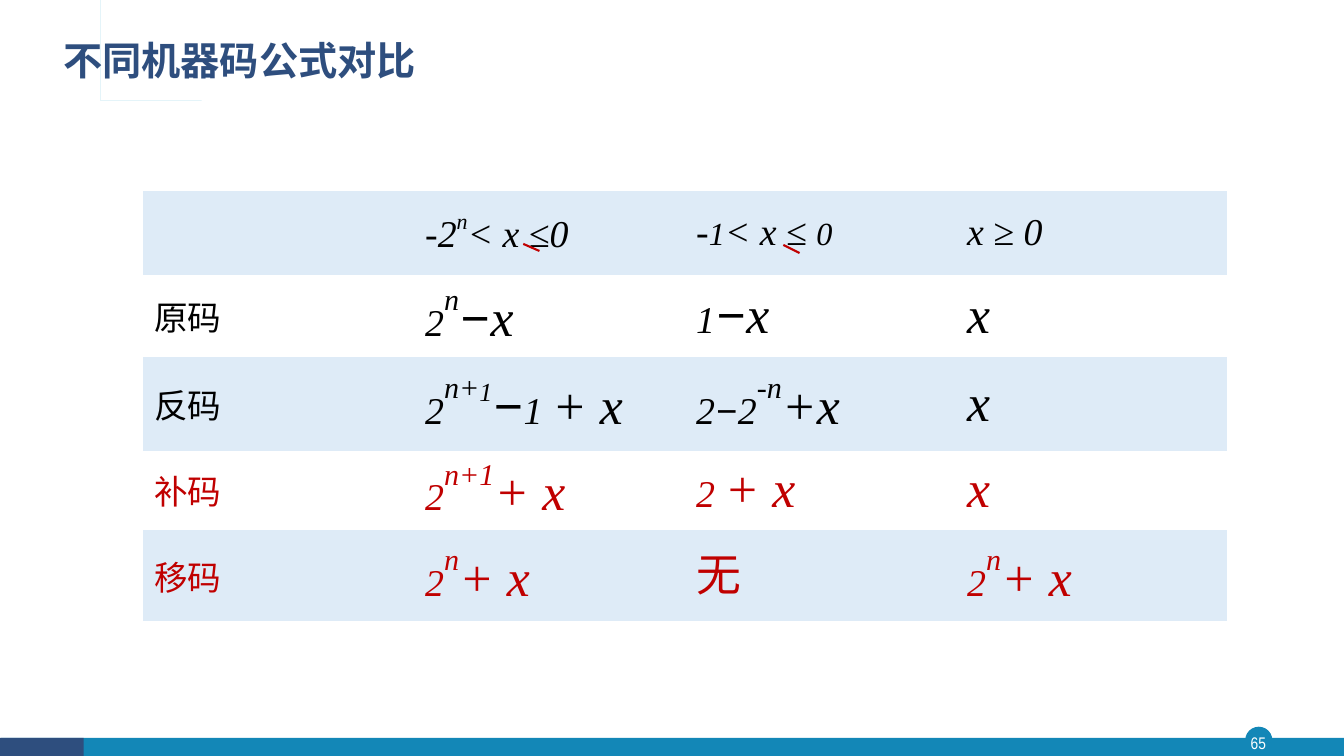
"""Build the slide that compares the formulas of the machine codes."""
from typing import NamedTuple

from lxml.etree import SubElement
from pptx import Presentation
from pptx.dml.color import RGBColor
from pptx.enum.shapes import MSO_CONNECTOR, MSO_SHAPE
from pptx.enum.text import MSO_ANCHOR, PP_ALIGN
from pptx.oxml.ns import qn
from pptx.util import Inches, Pt

COLORS = {"teal": "1387B7", "navy": "2E4E7E", "sky": "28A9D6", "pale": "DEEBF7",
          "white": "FFFFFF", "black": "000000", "red": "C00000"}
HAN, SERIF = "Noto Sans CJK SC", "Times New Roman"
PLAIN_STYLE = "{2D5ABB26-0587-4C30-8999-92F81FD0307C}"


class Bit(NamedTuple):
    text: str
    size: float = 27
    up: bool = False
    bold: bool = False
    font: str = SERIF


class Bar(NamedTuple):
    kind: MSO_SHAPE
    left: float
    top: float
    width: float
    height: float
    color: str


class Slash(NamedTuple):
    left: float
    top: float
    right: float
    bottom: float


class Row(NamedTuple):
    height: float
    color: str
    cells: list[list[Bit]]


def label(text: str) -> list[Bit]:
    return [Bit(text, 24, font=HAN)]


def power(text: str) -> list[Bit]:
    return [Bit("2"), Bit(text, 37, up=True)]


MINUS = Bit("−", 37, bold=True)
X = Bit("x", 37)
PLUS = Bit("+ x", 37)

BARS = [
    Bar(MSO_SHAPE.OVAL, 12.35, 7.21, 0.27, 0.27, "teal"),
    Bar(MSO_SHAPE.RECTANGLE, 0.01, 7.32, 13.32, 0.19, "teal"),
    Bar(MSO_SHAPE.RECTANGLE, 0, 7.32, 0.83, 0.19, "navy"),
]
MARK = [(0.54, 0.39), (0.54, 0.85), (1.87, 0.85), (1.87, 0.87), (0.52, 0.87),
        (0.52, 0.41), (0.47, 0.41), (0.47, 0.87), (0.36, 0.87), (0.36, 0.39),
        (0.39, 0.39), (0.39, 0.84), (0.44, 0.84), (0.44, 0.39)]
ROWS = [
    Row(0.84, "black", [
        [],
        [Bit("-2"), Bit("n", up=True), Bit("< x ≤0")],
        [Bit("-"), Bit("1", 23), Bit("< x ≤ "), Bit("0", 23)],
        [Bit("x ≥ 0")]]),
    Row(0.81, "black", [
        label("原码"), power("n") + [MINUS, X], [Bit("1"), MINUS, X], [X]]),
    Row(0.93, "black", [
        label("反码"),
        power("n+") + [Bit("1", 32, up=True), MINUS, Bit("1 "), PLUS],
        [Bit("2"), Bit("−", bold=True)] + power("-n") + [Bit("+x", 37)],
        [X]]),
    Row(0.79, "red", [
        label("补码"), power("n+1") + [PLUS], [Bit("2 "), PLUS], [X]]),
    Row(0.9, "red", [
        label("移码"), power("n") + [PLUS],
        [Bit("无", 32, font="DejaVu Sans")], power("n") + [PLUS]]),
]
SLASHES = [Slash(5.19, 2.42, 5.35, 2.49), Slash(7.77, 2.43, 7.93, 2.51)]


def rgb(name: str) -> RGBColor:
    return RGBColor.from_string(COLORS[name])


def add_run(para, bit: Bit, color: str) -> None:
    run = para.add_run()
    run.text = bit.text
    font = run.font
    font.size, font.bold, font.name = Pt(bit.size), bit.bold, bit.font
    font.italic = bit.font == SERIF
    font.color.rgb = rgb(color)
    props = run._r.get_or_add_rPr()
    SubElement(props, qn("a:ea")).set("typeface", bit.font)
    if bit.up:
        props.set("baseline", "50000")


def add_bar(slide, bar: Bar) -> None:
    shape = slide.shapes.add_shape(
        bar.kind, Inches(bar.left), Inches(bar.top), Inches(bar.width), Inches(bar.height))
    paint(shape, bar.color)


def paint(shape, color: str) -> None:
    shape.shadow.inherit = False
    shape.fill.solid()
    shape.fill.fore_color.rgb = rgb(color)
    shape.line.fill.background()


def add_mark(slide) -> None:
    first, *rest = MARK
    path = slide.shapes.build_freeform(*first, scale=Inches(1))
    path.add_line_segments(rest, close=True)
    paint(path.convert_to_shape(), "sky")


def add_text(slide, left: float, top: float, width: float, height: float,
             bit: Bit, color: str):
    box = slide.shapes.add_textbox(Inches(left), Inches(top), Inches(width), Inches(height))
    frame = box.text_frame
    frame.word_wrap = True
    frame.vertical_anchor = MSO_ANCHOR.MIDDLE
    add_run(frame.paragraphs[0], bit, color)
    return frame


def add_grid(slide) -> None:
    high = sum(row.height for row in ROWS)
    table = slide.shapes.add_table(
        len(ROWS), 4, Inches(1.42), Inches(1.89), Inches(10.75), Inches(high)).table
    table.first_row = table.horz_banding = False
    table._tbl.tblPr.find(qn("a:tableStyleId")).text = PLAIN_STYLE
    for i, row in enumerate(ROWS):
        table.rows[i].height = Inches(row.height)
        for j, bits in enumerate(row.cells):
            cell = table.cell(i, j)
            cell.fill.solid()
            cell.fill.fore_color.rgb = rgb("white" if i % 2 else "pale")
            cell.vertical_anchor = MSO_ANCHOR.MIDDLE
            cell.margin_left = cell.margin_right = Inches(0.11)
            cell.margin_top = cell.margin_bottom = 0
            for bit in bits:
                add_run(cell.text_frame.paragraphs[0], bit, row.color)


def add_slash(slide, slash: Slash) -> None:
    line = slide.shapes.add_connector(MSO_CONNECTOR.STRAIGHT, *map(Inches, slash))
    line.line.color.rgb = rgb("red")
    line.line.width = Pt(1.5)
    SubElement(line._element.spPr, qn("a:effectLst"))


def main() -> None:
    deck = Presentation()
    deck.slide_width, deck.slide_height = Inches(13.33), Inches(7.5)
    slide = deck.slides.add_slide(deck.slide_layouts[6])
    for bar in BARS:
        add_bar(slide, bar)
    page = add_text(slide, 12.32, 7.21, 0.32, 0.31,
                    Bit("65", 12, font="Arial Narrow"), "white")
    page.margin_left = page.margin_right = page.margin_top = page.margin_bottom = 0
    page.paragraphs[0].alignment = PP_ALIGN.CENTER
    add_mark(slide)
    title = add_text(slide, 0.53, 0.28, 11.5, 0.68,
                     Bit("不同机器码公式对比", 28, bold=True, font=HAN), "navy")
    title.paragraphs[0].line_spacing = 0.9
    add_grid(slide)
    for slash in SLASHES:
        add_slash(slide, slash)
    deck.save("out.pptx")


if __name__ == "__main__":
    main()
